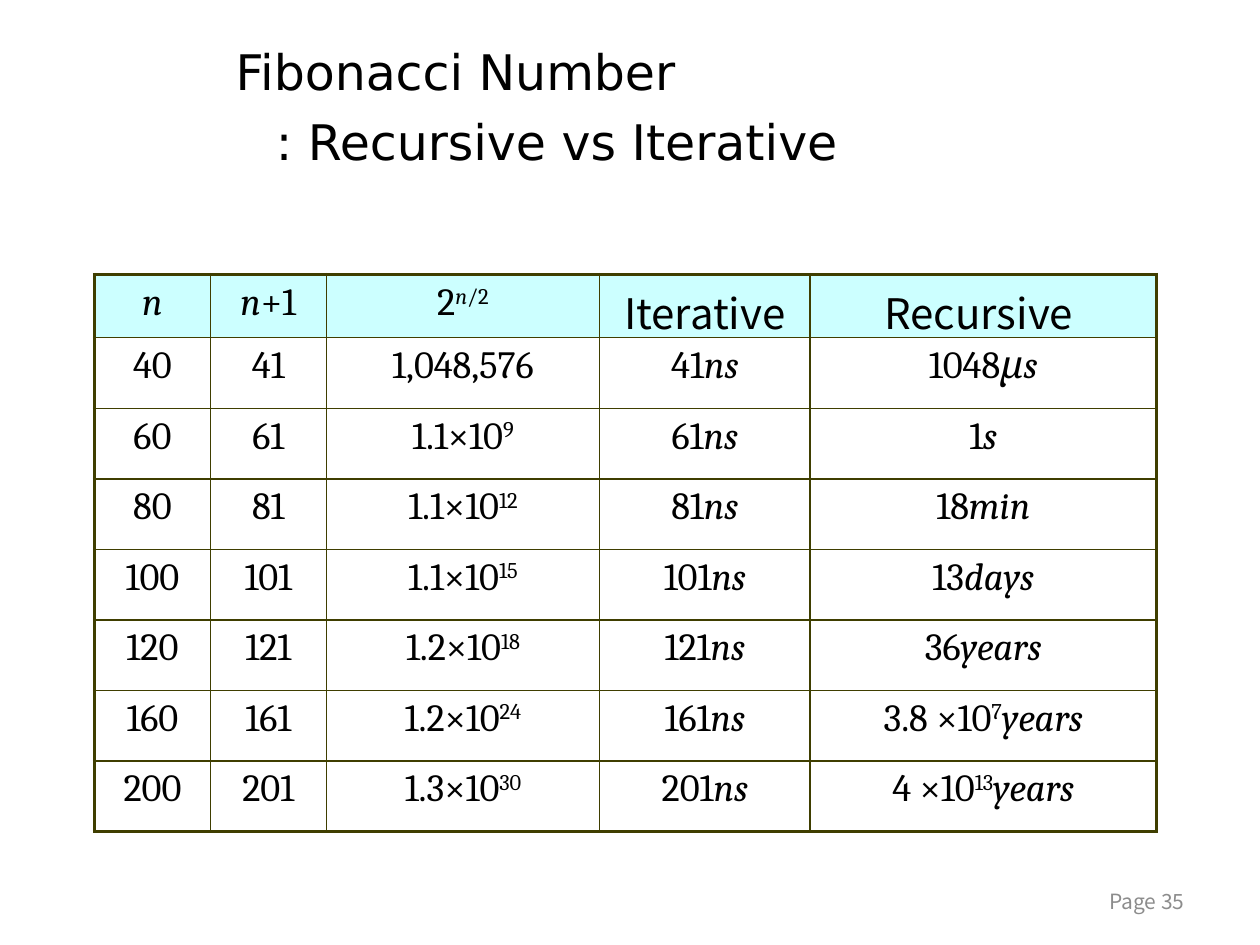
"""Build the slide comparing recursive and iterative Fibonacci running times."""
from lxml.etree import SubElement
from pptx import Presentation
from pptx.dml.color import RGBColor
from pptx.enum.text import MSO_ANCHOR, MSO_AUTO_SIZE, PP_ALIGN
from pptx.oxml.ns import qn
from pptx.util import Inches, Pt

BLACK = RGBColor(0x00, 0x00, 0x00)
GRAY = RGBColor(0x8C, 0x8C, 0x8C)
OLIVE = RGBColor(0x3F, 0x3E, 0x00)
PALE_CYAN = RGBColor(0xCC, 0xFF, 0xFF)
TITLE_FONT, MATH_FONT, LABEL_FONT = "DejaVu Sans", "Cambria", "Noto Sans CJK KR"

PLAIN, ITALIC, SUPER, ITALIC_SUPER = "", "i", "s", "is"
TITLE = "Fibonacci Number \v: Recursive vs Iterative"
PAGE = "Page 35"
HEADER = [
    [("n", ITALIC)],
    [("n", ITALIC), ("+1", PLAIN)],
    [("2", PLAIN), ("n", ITALIC_SUPER), ("/2", SUPER)],
    [("Iterative", PLAIN)],
    [("Recursive ", PLAIN)],
]
TIMINGS = [
    (40, "1,048,576", "", "1048", "", "μs"),
    (60, "1.1×10", "9", "1", "", "s"),
    (80, "1.1×10", "12", "18", "", "min"),
    (100, "1.1×10", "15", "13", "", "days"),
    (120, "1.2×10", "18", "36", "", "years"),
    (160, "1.2×10", "24", "3.8 ×10", "7", "years"),
    (200, "1.3×10", "30", "4 ×10", "13", "years"),
]
COLUMN_WIDTHS = [0.92, 0.92, 2.17, 1.67, 2.75]
HEADER_HEIGHT, ROW_HEIGHT = 0.47, 0.56
LABEL_COLUMNS = (3, 4)
OUTER, INNER = Pt(2.25), Pt(1)


def style_font(font, name, size, color):
    font.name, font.size, font.color.rgb = name, Pt(size), color


def timing_row(n, power, exponent, amount, amount_exponent, unit):
    return [
        [(str(n), PLAIN)],
        [(str(n + 1), PLAIN)],
        [(power, PLAIN), (exponent, SUPER)],
        [(str(n + 1), PLAIN), ("ns", ITALIC)],
        [(amount, PLAIN), (amount_exponent, SUPER), (unit, ITALIC)],
    ]


def write_cell(cell, pieces, font_name, size):
    paragraph = cell.text_frame.paragraphs[0]
    paragraph.alignment = PP_ALIGN.CENTER
    paragraph.space_before = Pt(0.2 * size)
    style_font(paragraph.font, font_name, size, BLACK)
    for text, style in pieces:
        if text:
            run = paragraph.add_run()
            run.text = text
            if "i" in style:
                run.font.italic = True
            if "s" in style:
                run.font._element.set("baseline", "30000")


def draw_borders(cell, outer_sides):
    properties = cell._tc.get_or_add_tcPr()
    for side in "LRTB":
        width = OUTER if side in outer_sides else INNER
        line = SubElement(properties, qn(f"a:ln{side}"), w=str(width))
        fill = SubElement(line, qn("a:solidFill"))
        SubElement(fill, qn("a:srgbClr"), val=str(OLIVE))


def add_title(slide):
    title = slide.shapes.title
    title.left, title.top = Inches(1.77), Inches(0.29)
    title.width, title.height = Inches(8.23), Inches(1.01)
    frame = title.text_frame
    frame.auto_size = MSO_AUTO_SIZE.NONE
    frame.vertical_anchor = MSO_ANCHOR.MIDDLE
    frame.text = TITLE
    paragraph = frame.paragraphs[0]
    paragraph.alignment = PP_ALIGN.LEFT
    paragraph.line_spacing = 1.2
    paragraph.space_before = paragraph.space_after = Pt(4.2)
    style_font(paragraph.font, TITLE_FONT, 28, BLACK)
    indents = paragraph._p.get_or_add_pPr()
    indents.set("marL", str(Inches(0.32)))
    indents.set("indent", str(Inches(-0.32)))


def add_timing_table(slide):
    rows = [HEADER] + [timing_row(*timing) for timing in TIMINGS]
    heights = [HEADER_HEIGHT] + [ROW_HEIGHT] * len(TIMINGS)
    table = slide.shapes.add_table(
        len(rows), len(COLUMN_WIDTHS), Inches(0.75), Inches(2.18),
        Inches(sum(COLUMN_WIDTHS)), Inches(sum(heights))).table
    table.horz_banding = False
    for column, width in zip(table.columns, COLUMN_WIDTHS):
        column.width = Inches(width)
    last_row, last_column = len(rows) - 1, len(COLUMN_WIDTHS) - 1
    for r, (row, height) in enumerate(zip(rows, heights)):
        table.rows[r].height = Inches(height)
        for c, pieces in enumerate(row):
            cell = table.cell(r, c)
            is_label = r == 0 and c in LABEL_COLUMNS
            write_cell(cell, pieces, LABEL_FONT if is_label else MATH_FONT,
                       24 if is_label else 22)
            edges = {"L": c == 0, "R": c == last_column,
                     "T": r == 0, "B": r == last_row}
            draw_borders(cell, [side for side, outer in edges.items() if outer])
            if r == 0:
                cell.fill.solid()
                cell.fill.fore_color.rgb = PALE_CYAN
            else:
                cell.fill.background()
    table.first_row = False


def add_page_label(slide):
    frame = slide.shapes.add_textbox(
        Inches(7.17), Inches(6.95), Inches(2.33), Inches(0.4)).text_frame
    frame.word_wrap = True
    frame.vertical_anchor = MSO_ANCHOR.MIDDLE
    frame.text = PAGE
    paragraph = frame.paragraphs[0]
    paragraph.alignment = PP_ALIGN.RIGHT
    style_font(paragraph.font, LABEL_FONT, 12, GRAY)


def main():
    presentation = Presentation()
    presentation.slide_width, presentation.slide_height = Inches(10), Inches(7.5)
    slide = presentation.slides.add_slide(presentation.slide_layouts[5])
    add_title(slide)
    add_page_label(slide)
    add_timing_table(slide)
    presentation.save("out.pptx")


if __name__ == "__main__":
    main()
